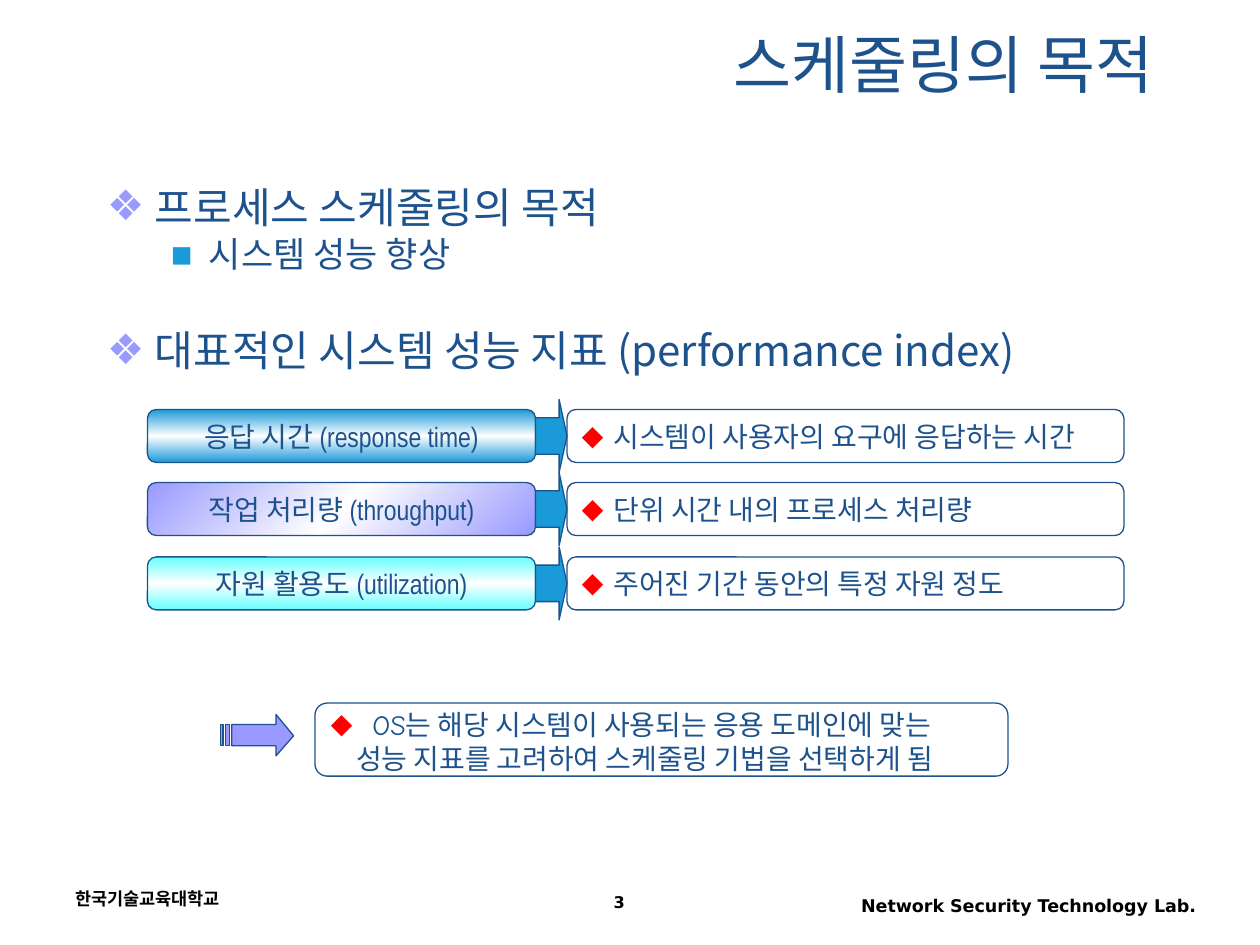
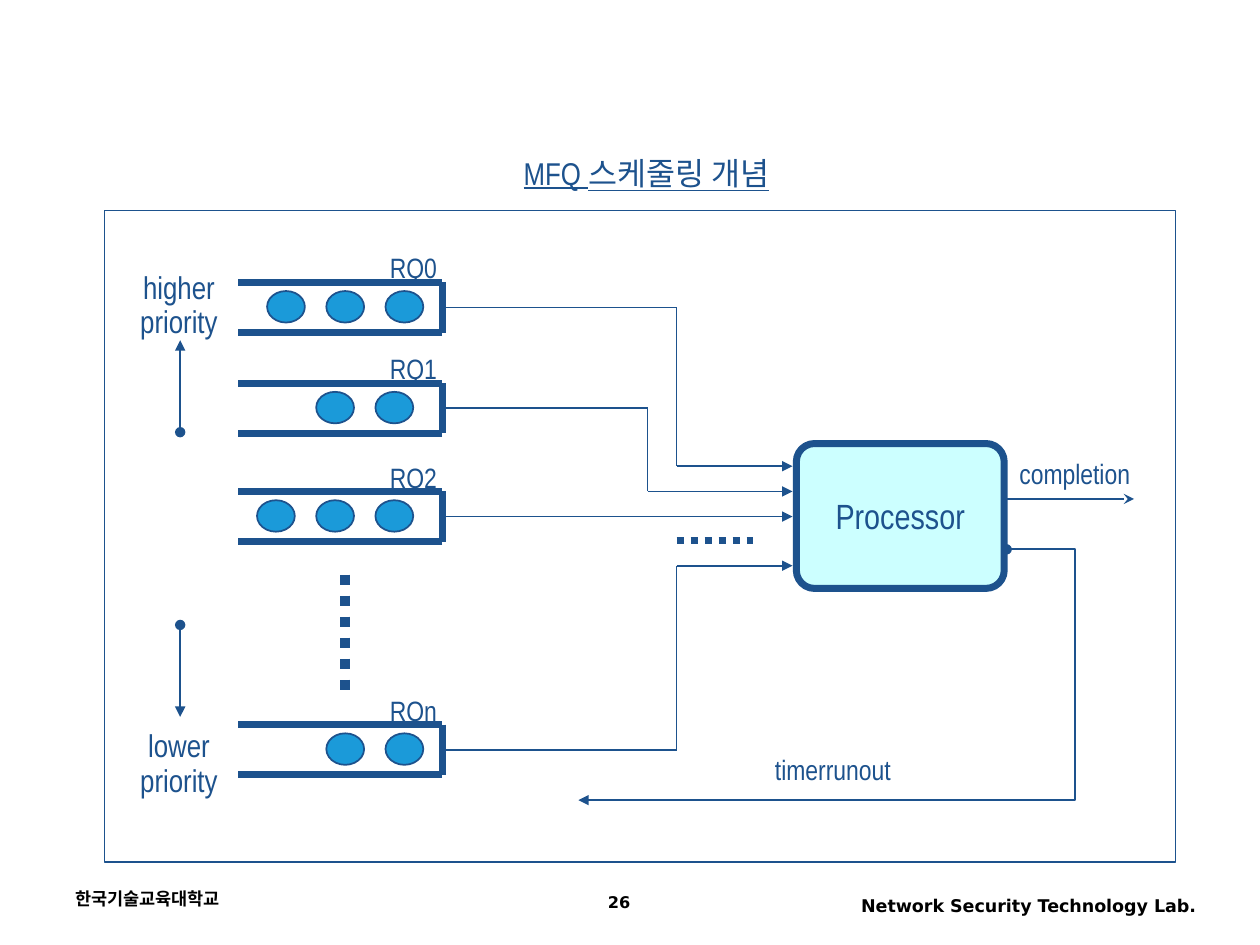
from copy import deepcopy
from itertools import pairwise

from pptx import Presentation
from pptx.dml.color import RGBColor as RGB
from pptx.enum.dml import MSO_LINE as DASH
from pptx.enum.shapes import MSO_CONNECTOR as CONN, MSO_SHAPE as SHAPE
from pptx.enum.text import MSO_ANCHOR as ANCHOR, PP_ALIGN as ALIGN
from pptx.oxml.ns import qn
from pptx.oxml.xmlchemy import OxmlElement as Element
from pptx.util import Emu, Pt

SCALE = 9144
COLORS = {
    "navy": "1D528D", "blue": "1B9AD9", "violet": "9999FF", "cyan": "66FFFF",
    "pale": "CCFFFF", "white": "FFFFFF", "red": "FF0000", "black": "000000",
}
HANGUL = "Noto Sans CJK KR"
NARROW = "Arial Narrow"
COMIC = "Comic Neue"
SYMBOL = "DejaVu Sans"
FOOTER = {"name": "DejaVu Sans", "size": 10, "bold": True, "color": "black"}
LABEL = {"name": NARROW, "size": 16}
PRIORITY = {"name": NARROW, "size": 18}
NOTE = {"name": COMIC, "size": 16}


def px(*values):
    return [Emu(v * SCALE) for v in values]


def rgb(name):
    return RGB.from_string(COLORS[name])


def set_indent(p, margin, indent):
    pPr = p._p.get_or_add_pPr()
    pPr.set("marL", str(margin * SCALE))
    pPr.set("indent", str(indent * SCALE))
    return pPr


def set_bullet(p, char, color, margin, indent):
    pPr = set_indent(p, margin, indent)
    buClr = Element("a:buClr")
    srgb = Element("a:srgbClr")
    srgb.set("val", COLORS[color])
    buClr.append(srgb)
    buFont = Element("a:buFont")
    buFont.set("typeface", SYMBOL)
    buChar = Element("a:buChar")
    buChar.set("char", char)
    pPr.extend([buClr, buFont, buChar])


def write(p, text, font, **layout):
    for key, value in layout.items():
        setattr(p, key, value)
    r = p.add_run()
    r.text = text
    values = {"color": "navy", **font}
    r.font.color.rgb = rgb(values.pop("color"))
    values["size"] = Pt(values["size"])
    for key, value in values.items():
        setattr(r.font, key, value)
    ea = Element("a:ea")
    ea.set("typeface", HANGUL)
    r._r.get_or_add_rPr().find(qn("a:latin")).addnext(ea)


def fill_text(sp, lines, font, wrap=False, anchor=ANCHOR.MIDDLE, **layout):
    tf = sp.text_frame
    tf.word_wrap = wrap
    tf.vertical_anchor = anchor
    for i, line in enumerate(lines):
        write(tf.add_paragraph() if i else tf.paragraphs[0], line, font, **layout)


def add_text(s, box, lines, font, **layout):
    sp = s.shapes.add_textbox(*px(*box))
    fill_text(sp, lines, font, **layout)


def style(sp, fill=None, weight=0.75):
    sp.shadow.inherit = False
    if fill:
        sp.fill.solid()
        sp.fill.fore_color.rgb = rgb(fill)
    else:
        sp.fill.background()
    sp.line.color.rgb = rgb("navy")
    sp.line.width = Pt(weight)


def add_shape(s, kind, box, fill=None, weight=0.75):
    sp = s.shapes.add_shape(kind, *px(*box))
    style(sp, fill, weight)
    return sp


def sheen(sp, color, angle):
    sp.fill.gradient()
    sp.fill.gradient_angle = 360 - angle
    stops = sp.fill.gradient_stops
    for stop in stops:
        stop.color.rgb = rgb(color)
    first = sp._element.spPr.find(".//" + qn("a:gs"))
    middle = deepcopy(first)
    middle.set("pos", "50000")
    middle.find(qn("a:srgbClr")).set("val", COLORS["white"])
    first.addnext(middle)


def add_ends(sp, head=None, tail=None):
    ln = sp._element.spPr.find(qn("a:ln"))
    for tag, kind in (("a:headEnd", head), ("a:tailEnd", tail)):
        if kind:
            end = Element(tag)
            end.set("type", kind)
            ln.append(end)


def add_line(s, start, stop, weight=1, dash=None, head=None, tail=None):
    c = s.shapes.add_connector(CONN.STRAIGHT, *px(*start, *stop))
    c.line.color.rgb = rgb("navy")
    c.line.width = Pt(weight)
    if dash:
        c.line.dash_style = dash
    add_ends(c, head, tail)
    c._element.spPr.append(Element("a:effectLst"))


def add_route(s, points, tail=None):
    legs = list(pairwise(points))
    for i, (start, stop) in enumerate(legs):
        add_line(s, start, stop, tail=tail if i == len(legs) - 1 else None)


def add_outline(s, contours, fill=None, weight=0.75, close=True):
    first, *rest = contours
    fb = s.shapes.build_freeform(*first[0], scale=SCALE)
    fb.add_line_segments(first[1:], close=close)
    for contour in rest:
        fb.move_to(*contour[0])
        fb.add_line_segments(contour[1:], close=close)
    sp = fb.convert_to_shape()
    style(sp, fill, weight)
    return sp


def new_slide(prs, number):
    s = prs.slides.add_slide(prs.slide_layouts[6])
    top = {"anchor": ANCHOR.TOP, "wrap": True}
    add_text(s, (50, 700, 233, 33), ["한국기술교육대학교"], FOOTER, **top)
    add_text(s, (642, 705, 317, 32), ["Network Security Technology Lab."], FOOTER,
             alignment=ALIGN.RIGHT, **top)
    add_text(s, (375, 705, 233, 28), [str(number)], {**FOOTER, "size": 9.2},
             alignment=ALIGN.CENTER, line_spacing=0.9, **top)
    return s


def outline_text(s, box):
    tf = s.shapes.add_textbox(*px(*box)).text_frame
    tf.word_wrap = True
    top = ("❖", "violet", 38, -38)
    sub = ("▪", "blue", 81, -31)
    items = [
        ("프로세스 스케줄링의 목적", 24, 0.8, 6, top),
        ("시스템 성능 향상", 20, 0.8, 5, sub),
        ("대표적인 시스템 성능 지표 (performance index)", 24, 1.8, 6, top),
    ]
    for i, (text, size, spacing, before, bullet) in enumerate(items):
        p = tf.add_paragraph() if i else tf.paragraphs[0]
        write(p, text, {"name": HANGUL, "size": size},
              line_spacing=spacing, space_before=Pt(before))
        set_bullet(p, *bullet)


def index_row(s, box, term, meaning, color, angle):
    x, y, w, h = box
    term_w, arrow_w, overhang = 308, 25, 8
    sp = add_shape(s, SHAPE.FLOWCHART_ALTERNATE_PROCESS, (x, y, term_w, h))
    sheen(sp, color, angle)
    fill_text(sp, [term], LABEL, alignment=ALIGN.CENTER)
    arrow = add_shape(s, SHAPE.RIGHT_ARROW,
                      (x + term_w, y - overhang, arrow_w, h + 2 * overhang), "blue")
    arrow.adjustments[1] = 0.25
    left = term_w + arrow_w
    sp = add_shape(s, SHAPE.FLOWCHART_ALTERNATE_PROCESS, (x + left, y, w - left, h))
    fill_text(sp, [meaning], NOTE, wrap=True, alignment=ALIGN.LEFT)
    set_bullet(sp.text_frame.paragraphs[0], "◆", "red", 25, -25)


def conclusion(s, box):
    x, y, w, h = box
    top, bottom = y + 17, y + 34
    head = [(x + 44, y + 9), (x + 44, top), (x + 9, top), (x + 9, bottom),
            (x + 44, bottom), (x + 44, y + 42), (x + 58, y + 26)]
    stripes = [[(x + a, top), (x + a, bottom), (x + b, bottom), (x + b, top)]
               for a, b in ((4, 7), (0, 2))]
    add_outline(s, [head, *stripes], "violet")
    sp = add_shape(s, SHAPE.FLOWCHART_ALTERNATE_PROCESS, (x + 75, y, w - 75, h))
    fill_text(sp, ["OS는 해당 시스템이 사용되는 응용 도메인에 맞는",
                   "성능 지표를 고려하여 스케줄링 기법을 선택하게 됨"], NOTE,
              wrap=True, alignment=ALIGN.LEFT, space_before=Pt(10))
    first, second = sp.text_frame.paragraphs
    set_bullet(first, "◆", "red", 33, -33)
    set_indent(second, 20, 0)
    second.line_spacing = 0.4


def purpose_slide(prs):
    s = new_slide(prs, 3)
    add_text(s, (75, 17, 850, 66), ["스케줄링의 목적"], {"name": HANGUL, "size": 36},
             wrap=True, alignment=ALIGN.RIGHT)
    outline_text(s, (75, 147, 842, 167))
    rows = [
        ("응답 시간 (response time)", "시스템이 사용자의 요구에 응답하는 시간", "blue", 90),
        ("작업 처리량 (throughput)", "단위 시간 내의 프로세스 처리량", "violet", 45),
        ("자원 활용도 (utilization)", "주어진 기간 동안의 특정 자원 정도", "cyan", 90),
    ]
    for i, row in enumerate(rows):
        index_row(s, (117, 325 + round(i * 58.5), 775, 42), *row)
    conclusion(s, (175, 558, 625, 58))


def queue(s, box, name, balls, last_ball):
    x, y, w, h = box
    corners = [(x, y), (x + w, y), (x + w, y + h), (x, y + h)]
    for start, stop in pairwise(corners):
        add_line(s, start, stop, weight=4)
    for i in range(balls):
        add_shape(s, SHAPE.OVAL, (x + last_ball - 47 * i, y + 7, 30, 25), "blue", 1)
    add_text(s, (x + 110, y - 30, 58, 37), [name], LABEL, alignment=ALIGN.CENTER)


def priority_mark(s, box, word, start, stop):
    x, y, w, h = box
    middle = x + w // 2 + 1
    add_text(s, box, [word, "priority"], PRIORITY,
             alignment=ALIGN.CENTER, line_spacing=0.9)
    add_line(s, (middle, y + start), (middle, y + stop), head="oval", tail="triangle")


def processor(s, box):
    x, y, w, h = box
    sp = add_shape(s, SHAPE.ROUNDED_RECTANGLE, box, "pale", 4)
    sp.adjustments[0] = 0.125
    fill_text(sp, ["Processor"], {"name": NARROW, "size": 20}, alignment=ALIGN.CENTER)
    out = x + w + 2
    add_line(s, (out, y + 44), (out + 101, y + 44), tail="stealth")
    add_text(s, (out, y + 5, 108, 37), ["completion"], LABEL, alignment=ALIGN.CENTER)
    loop = [(out, y + 84), (out + 54, y + 84), (out + 54, y + 283), (out - 340, y + 283)]
    add_ends(add_outline(s, [loop], weight=1, close=False), "oval", "triangle")
    add_text(s, (x - 27, y + 240, 112, 37), ["timerrunout"], LABEL, alignment=ALIGN.CENTER)


def feedback_queue(s, box):
    x, y, w, h = box
    add_shape(s, SHAPE.RECTANGLE, box, "white", 1)
    processor(s, (x + 549, y + 185, 165, 115))
    queues = [
        ("RQ0", 57, 3, 117, 454, 203),
        ("RQ1", 137, 2, 109, 431, 223),
        ("RQ2", 223, 3, 109, None, 243),
        ("RQn", 408, 2, 117, 454, 282),
    ]
    for name, top, balls, last_ball, bend, entry in queues:
        queue(s, (x + 106, y + top, 162, 40), name, balls, last_ball)
        start, stop = (x + 268, y + top + 20), (x + 546, y + entry)
        bends = [(x + bend, start[1]), (x + bend, stop[1])] if bend else []
        add_route(s, [start, *bends, stop], "triangle")
    add_line(s, (x + 191, y + 289), (x + 191, y + 382), 6, DASH.ROUND_DOT)
    add_line(s, (x + 454, y + 262), (x + 515, y + 262), 4, DASH.ROUND_DOT)
    priority_mark(s, (x + 18, y + 44, 82, 64), "higher", 132, 59)
    priority_mark(s, (x + 18, y + 408, 82, 64), "lower", -79, -6)


def concept_slide(prs):
    s = new_slide(prs, 26)
    feedback_queue(s, (83, 167, 850, 517))
    add_text(s, (367, 125, 292, 25), ["MFQ 스케줄링 개념"],
             {"name": NARROW, "size": 18, "underline": True}, alignment=ALIGN.CENTER)


def main():
    prs = Presentation()
    prs.slide_width, prs.slide_height = px(1000, 750)
    purpose_slide(prs)
    concept_slide(prs)
    prs.save("out.pptx")


if __name__ == "__main__":
    main()
